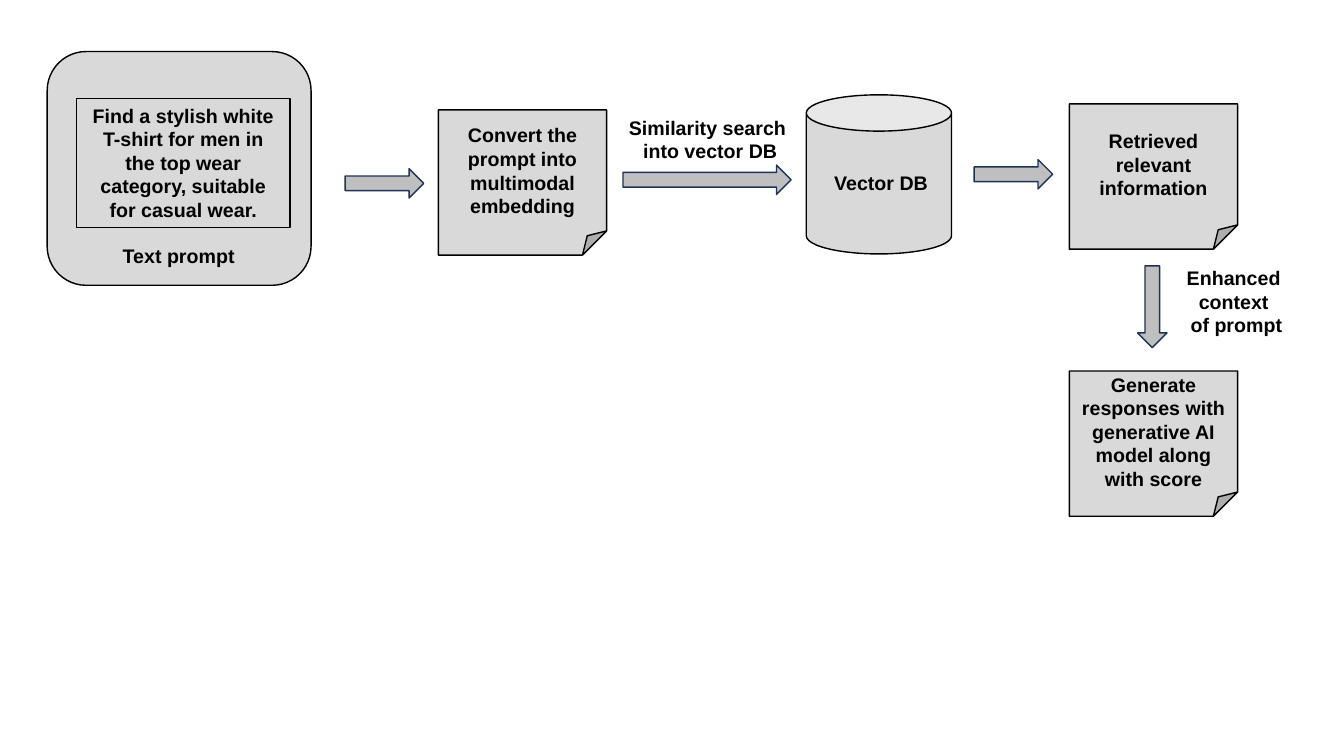
from pptx import Presentation
from pptx.dml.color import RGBColor
from pptx.enum.shapes import MSO_SHAPE
from pptx.enum.text import MSO_ANCHOR, PP_ALIGN
from pptx.util import Cm, Pt

COLORS = {
    "text": "000000",
    "outline": "000000",
    "box": "D9D9D9",
    "arrow": "BFBFBF",
    "arrow_outline": "1E3256",
}
FONT = "Arial"
NOTE_SIZE = (4.24, 3.66)
ARROW_THICKNESS = 0.74


def rgb(name):
    return RGBColor.from_string(COLORS[name])


def write(sp, lines, anchor=MSO_ANCHOR.TOP):
    tf = sp.text_frame
    tf.word_wrap = True
    tf.vertical_anchor = anchor
    for i, line in enumerate(lines):
        p = tf.add_paragraph() if i else tf.paragraphs[0]
        p.alignment = PP_ALIGN.CENTER
        r = p.add_run()
        r.text = line
        r.font.name = FONT
        r.font.size = Pt(14)
        r.font.bold = True
        r.font.color.rgb = rgb("text")


def add_box(s, kind, left, top, width, height, fill="box",
            outline="outline", weight=1):
    sp = s.shapes.add_shape(kind, Cm(left), Cm(top), Cm(width), Cm(height))
    sp.shadow.inherit = False
    if fill:
        sp.fill.solid()
        sp.fill.fore_color.rgb = rgb(fill)
    else:
        sp.fill.background()
    sp.line.color.rgb = rgb(outline)
    sp.line.width = Pt(weight)
    return sp


def add_note(s, left, top, text):
    sp = add_box(s, MSO_SHAPE.FOLDED_CORNER, left, top, *NOTE_SIZE)
    write(sp, [text], MSO_ANCHOR.MIDDLE)


def add_arrow(s, center_x, center_y, length, rotation=270):
    """Block arrow around a centre; it points right unless rotation is 0 (down)."""
    sp = add_box(s, MSO_SHAPE.DOWN_ARROW, center_x - ARROW_THICKNESS / 2,
                 center_y - length / 2, ARROW_THICKNESS, length,
                 "arrow", "arrow_outline")
    sp.rotation = rotation


def add_label(s, left, top, width, height, *lines):
    sp = s.shapes.add_textbox(Cm(left), Cm(top), Cm(width), Cm(height))
    write(sp, lines)


def main():
    prs = Presentation()
    prs.slide_width, prs.slide_height = Cm(33.87), Cm(19.05)
    s = prs.slides.add_slide(prs.slide_layouts[6])

    add_box(s, MSO_SHAPE.ROUNDED_RECTANGLE, 1.19, 1.3, 6.65, 5.89)
    add_label(s, 2.18, 6.02, 4.65, 0.86, "Text prompt")
    prompt = add_box(s, MSO_SHAPE.RECTANGLE, 1.93, 2.49, 5.38, 3.25,
                     fill=None, weight=0.75)
    write(prompt, ["Find a stylish white T-shirt for men in the top wear "
                   "category, suitable for casual wear."])

    add_arrow(s, 9.69, 4.62, 1.98)
    add_note(s, 11.05, 2.77, "Convert the prompt into multimodal embedding")

    add_arrow(s, 17.82, 4.53, 4.24)
    add_label(s, 15.21, 2.79, 5.38, 1.45, "Similarity search ", "into vector DB")
    add_box(s, MSO_SHAPE.CAN, 20.32, 2.39, 3.66, 4.01)
    add_label(s, 20.35, 4.19, 3.71, 0.86, "Vector DB")

    add_arrow(s, 25.54, 4.39, 1.98)
    add_note(s, 26.95, 2.62, "Retrieved relevant information")

    add_arrow(s, 29.04, 7.73, 2.06, rotation=0)
    add_label(s, 28.47, 6.58, 5.38, 2.06, "Enhanced ", "context ", "of prompt")
    add_note(s, 26.95, 9.35,
             "Generate responses with generative AI model along with score")

    prs.save("out.pptx")


if __name__ == "__main__":
    main()
